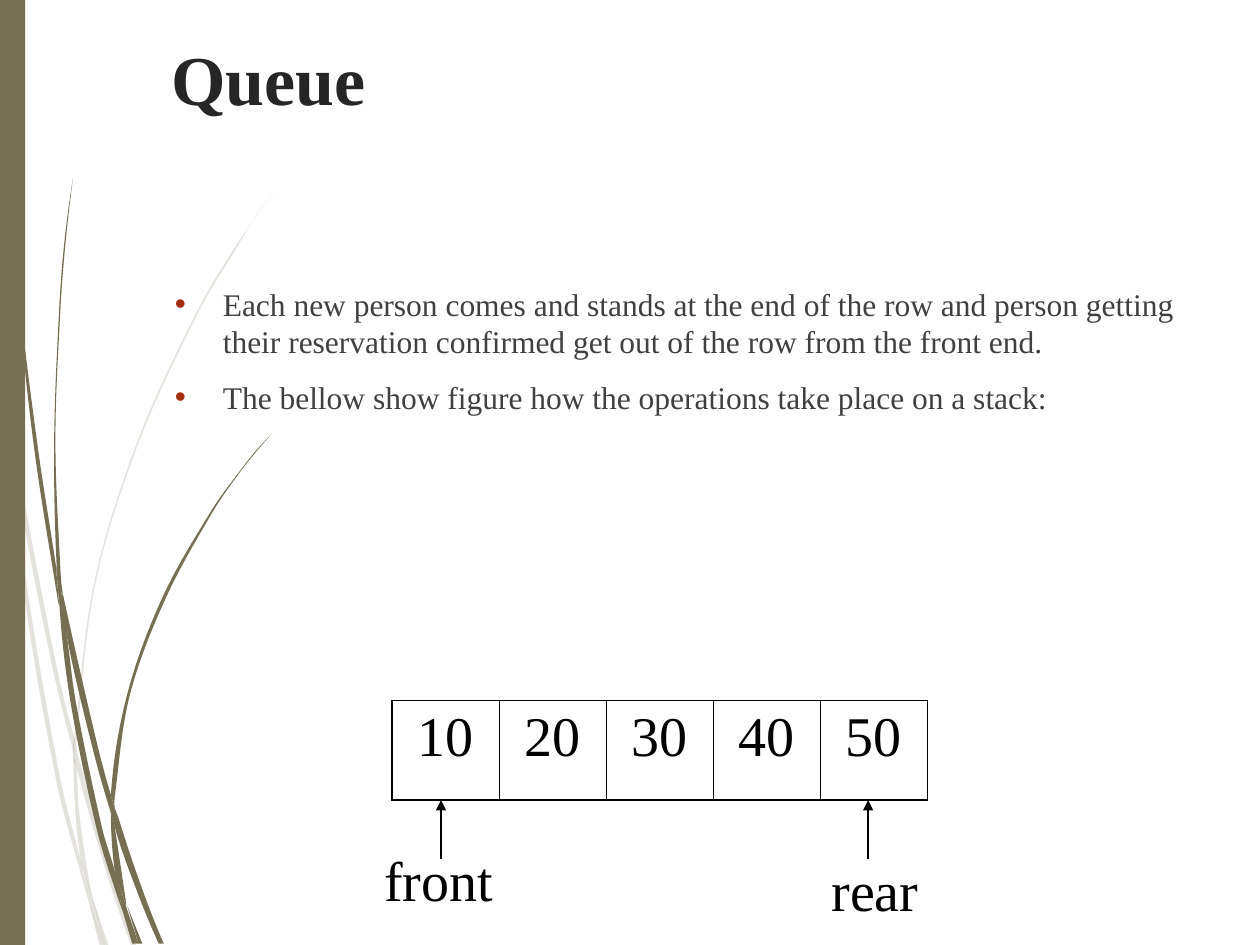
import math

import lxml.etree
import pptx
import pptx.dml.color
import pptx.enum.shapes
import pptx.enum.text
import pptx.oxml.ns
import pptx.util

FONT = "Times New Roman"
OLIVE, BLACK, BULLET = "766F54", "000000", "A53010"
ALIGN = pptx.enum.text.PP_ALIGN
BODY = [
    "Each new person comes and stands at the end of the row and person getting "
    "their reservation confirmed get out of the row from the front end.",
    "The bellow show figure how the operations take place on a stack:",
]
# Each blade of grass is a pair of edges, one down and one up, in inches.
PALE_BLADES = [
    ([(.08, 3.5), (.06, 3.22), (0, 2.82)], [(0, 2.99), (.07, 3.44)]),
    ([(.1, 3.45), (.43, 5.2), (.59, 5.86)], [(.59, 5.99), (.4, 5.22), (.12, 3.76)]),
    ([(.61, 5.96), (.64, 6.07), (.88, 6.92), (1.08, 7.5)], [(1.04, 7.5), (.85, 6.94), (.61, 6.1)]),
    ([(.73, 7.11), (.83, 7.5)], [(.86, 7.5)]),
    ([(.08, 3.5), (.19, 4.7), (.45, 6.21), (.64, 6.93), (.7, 7.14)],
     [(.69, 7.07), (.64, 6.83), (.48, 6.19), (.22, 4.69), (.12, 3.76)]),
    ([(.58, 5.99), (.6, 6.46), (.64, 6.83), (.67, 6.92), (.73, 7.11)],
     [(.72, 7.06), (.63, 6.46), (.61, 6.1), (.61, 6.08)]),
    ([(2.17, 1.53), (2.01, 1.75), (1.86, 1.97), (1.58, 2.44), (1.1, 3.48), (.75, 4.61),
      (.59, 5.84), (.59, 5.86)],
     [(.61, 5.96), (.61, 5.84), (.76, 4.62), (1.11, 3.49), (1.59, 2.45), (1.87, 1.98),
      (2.01, 1.75), (2.17, 1.53)]),
    ([(.7, 7.14), (.79, 7.5)], [(.82, 7.5)]),
    ([(.59, 5.86), (.58, 5.99), (.61, 6.08)], [(.61, 6.1), (.61, 5.96)]),
    ([(.65, 6.83), (.69, 7.07), (.7, 7.14), (.82, 7.5)], [(.83, 7.5), (.73, 7.11), (.67, 6.92)]),
]
DARK_BLADES = [
    ([(.02, 0), (.03, .48), (.05, 1.1), (.14, 2.33), (.27, 3.55), (.46, 4.77), (.47, 4.81)],
     [(.45, 4.57), (.45, 4.53), (.3, 3.55), (.15, 2.32), (.06, 1.09), (.04, .48), (.03, 0)]),
    ([(.5, 4.72), (.53, 5.05), (.73, 5.92), (.88, 6.45)], [(.88, 6.31), (.77, 5.9), (.5, 4.72)]),
    ([(.91, 6.41), (.91, 6.56), (1.09, 7.08), (1.26, 7.49)], [(1.3, 7.49), (1.13, 7.06), (.94, 6.49)]),
    ([(.47, 4.77), (.56, 5.57), (.77, 6.59), (.92, 7.08), (.97, 7.22)],
     [(.96, 7.17), (.91, 6.91), (.81, 6.57), (.6, 5.56), (.53, 5.05), (.47, 4.77)]),
    ([(.58, 1.41), (.51, 1.93), (.47, 2.45), (.43, 3.49), (.45, 4.49), (.49, 4.71)],
     [(.5, 4.72), (.48, 4.53), (.44, 3.49), (.48, 2.45), (.52, 1.93), (.58, 1.41)]),
    ([(1.01, 7.19), (1.1, 7.49)], [(1.13, 7.49)]),
    ([(.45, 4.49), (.45, 4.53), (.47, 4.77), (.53, 5.05)], [(.5, 4.72), (.49, 4.72)]),
    ([(2.16, 3.44), (2.03, 3.58), (1.91, 3.73), (1.68, 4.05), (1.29, 4.74), (1.01, 5.51), (.88, 6.31)],
     [(.91, 6.41), (.91, 6.33), (1.03, 5.52), (1.31, 4.76), (1.69, 4.06), (1.91, 3.74),
      (2.03, 3.59), (2.16, 3.44)]),
    ([(.97, 7.22), (1.05, 7.49)], [(1.08, 7.49)]),
    ([(.88, 6.45), (.91, 6.91), (.96, 7.06), (1, 7.19)], [(1, 7.16), (.91, 6.56), (.9, 6.51)]),
    ([(.88, 6.31), (.88, 6.45), (.9, 6.51), (.91, 6.56)], [(.91, 6.41)]),
    ([(.91, 6.91), (.96, 7.17), (.97, 7.22), (1.08, 7.49)], [(1.1, 7.49), (1, 7.19), (.96, 7.06)]),
]


def length(inches):
    """Turn inches into a slide length."""
    return pptx.util.Cm(inches * 2.54)


def color(value):
    """Turn a hex string into a colour."""
    return pptx.dml.color.RGBColor.from_string(value)


def set_values(target, values):
    """Set attributes from a dict of format values."""
    for name, value in values.items():
        setattr(target, name, value)


def add_xml(parent, tag, **attributes):
    """Append a DrawingML element to a parent and return it."""
    return lxml.etree.SubElement(parent, pptx.oxml.ns.qn("a:" + tag), attributes)


def tangents(points):
    """Return a unit direction for each point of an edge."""
    chords = [(b[0] - a[0], b[1] - a[1]) for a, b in zip(points, points[1:])]
    units = [(x / math.hypot(x, y), y / math.hypot(x, y)) for x, y in chords]
    inner = [(c[0] - a[0], c[1] - a[1]) for a, c in zip(points, points[2:])]
    inner = [(x / math.hypot(x, y), y / math.hypot(x, y)) for x, y in inner]
    if not inner:
        return units * 2
    first, last = [(2 * u[0] - v[0], 2 * u[1] - v[1])
                   for u, v in ((units[0], inner[0]), (units[-1], inner[-1]))]
    return [first, *inner, last]


def bend(segments, points):
    """Turn the straight segments of an edge into cubic curves."""
    slopes = tangents(points)
    for line, a, b, u, v in zip(segments, points, points[1:], slopes, slopes[1:]):
        reach = math.dist(a, b) / 3
        curve = lxml.etree.Element(pptx.oxml.ns.qn("a:cubicBezTo"))
        for x, y in ((a[0] + u[0] * reach, a[1] + u[1] * reach),
                     (b[0] - v[0] * reach, b[1] - v[1] * reach), b):
            add_xml(curve, "pt", x=str(round(x)), y=str(round(y)))
        line.getparent().replace(line, curve)


def paint(shape, alpha=None):
    """Give a decoration its plain olive fill."""
    shape.shadow.inherit = False
    shape.fill.solid()
    shape.fill.fore_color.rgb = color(OLIVE)
    shape.line.fill.background()
    if alpha:
        tint = shape.fill._xPr.find(".//" + pptx.oxml.ns.qn("a:srgbClr"))
        add_xml(tint, "alpha", val=str(alpha * 1000))


def add_blades(page, blades, alpha=None):
    """Draw a group of grass blades between their edges."""
    group = page.shapes.add_group_shape()
    for down, up in blades:
        outline = [(length(x), length(y)) for x, y in down + up]
        builder = group.shapes.build_freeform(*outline[0], scale=1.0)
        builder.add_line_segments(outline[1:], close=True)
        blade = builder.convert_to_shape()
        left, top = (min(values) for values in zip(*outline))
        local = [(x - left, y - top) for x, y in outline]
        lines = list(blade._element.iter(pptx.oxml.ns.qn("a:lnTo")))
        bend(lines[:len(down) - 1], local[:len(down)])
        if len(up) > 1:
            bend(lines[len(down):], local[len(down):])
        paint(blade, alpha)
    return group


def move_to_master(deck, shapes):
    """Put decorations behind everything on the slide master."""
    tree = deck.slide_master.shapes._spTree
    number = 100
    for index, shape in enumerate(shapes, 2):
        for props in shape._element.iter(pptx.oxml.ns.qn("p:cNvPr")):
            props.set("id", str(number))
            number += 1
        tree.insert(index, shape._element)


def write(frame, texts, size, hue, bold=False, **values):
    """Write paragraphs of one style into a text frame."""
    for index, text in enumerate(texts):
        para = frame.add_paragraph() if index else frame.paragraphs[0]
        set_values(para, values)
        span = para.add_run()
        span.text = text
        set_values(span.font, {"name": FONT, "size": pptx.util.Pt(size), "bold": bold})
        span.font.color.rgb = color(hue)


def add_title(page, text):
    """Place and write the title placeholder."""
    title = page.shapes.title
    set_values(title, {"left": length(1.26), "top": length(.23),
                       "width": length(8.52), "height": length(1.6)})
    set_values(title.text_frame, {"vertical_anchor": pptx.enum.text.MSO_ANCHOR.TOP,
                                  "auto_size": pptx.enum.text.MSO_AUTO_SIZE.NONE})
    write(title.text_frame, [text], 40, "262626", True, alignment=ALIGN.LEFT)


def add_text(page, place, texts, size, hue, before):
    """Add a wrapping text box."""
    box = page.shapes.add_textbox(*map(length, place))
    box.text_frame.word_wrap = True
    write(box.text_frame, texts, size, hue, space_before=pptx.util.Pt(before))
    return box


def add_bullets(box):
    """Give each paragraph a hanging bullet."""
    for para in box.text_frame.paragraphs:
        props = para._p.get_or_add_pPr()
        props.set("marL", str(length(.38)))
        props.set("indent", str(-length(.38)))
        add_xml(add_xml(props, "buClr"), "srgbClr", val=BULLET)
        add_xml(props, "buFont", typeface="Arial")
        add_xml(props, "buChar", char="\u2022")


def add_border(cell, widths):
    """Draw black cell borders; widths are points for left, right, top, bottom."""
    props = cell._tc.get_or_add_tcPr()
    for index, (side, width) in enumerate(zip("LRTB", widths)):
        line = add_xml(props, "ln" + side, w=str(round(width * 12700)))
        add_xml(add_xml(line, "solidFill"), "srgbClr", val=BLACK)
        props.insert(index, line)


def add_queue(page, values, thin=.45, thick=1.08):
    """Add the one-row table of queue values."""
    table = page.shapes.add_table(1, len(values), *map(length, (3.11, 5.56, 4.25, .79))).table
    set_values(table, {"first_row": False, "horz_banding": False})
    for index, value in enumerate(values):
        cell = table.cell(0, index)
        cell.fill.background()
        write(cell.text_frame, [value], 32, BLACK,
              alignment=ALIGN.CENTER, space_before=pptx.util.Pt(8))
        right = thick if index == len(values) - 1 else thin
        add_border(cell, (thin if index else thick, right, thick, thick))


def add_arrow(page, x):
    """Add an arrow that points up at the queue."""
    arrow = page.shapes.add_connector(pptx.enum.shapes.MSO_CONNECTOR.STRAIGHT,
                                      *map(length, (x, 6.82, x, 6.35)))
    arrow.line.color.rgb = color(BLACK)
    arrow.line.width = pptx.util.Pt(.74)
    add_xml(arrow.line._get_or_add_ln(), "tailEnd", type="triangle")
    add_xml(arrow._element.spPr, "effectLst")


def main():
    """Build the slide and save it."""
    deck = pptx.Presentation()
    set_values(deck, {"slide_width": length(10), "slide_height": length(7.5)})
    page = deck.slides.add_slide(deck.slide_layouts[5])
    grass = [add_blades(page, PALE_BLADES, 20), add_blades(page, DARK_BLADES)]
    bar = page.shapes.add_shape(pptx.enum.shapes.MSO_SHAPE.RECTANGLE, 0, 0, length(.2), length(7.5))
    paint(bar)
    move_to_master(deck, [*grass, bar])
    add_title(page, "Queue")
    add_bullets(add_text(page, (1.29, 2.21, 8.19, 3.51), BODY, 18, "404040", 10))
    add_queue(page, ["10", "20", "30", "40", "50"])
    for x in (3.5, 6.89):
        add_arrow(page, x)
    for text, place in (("front", (2.95, 6.66, 1.1, .64)), ("rear", (6.5, 6.74, .94, .64))):
        add_text(page, place, [text], 32, BLACK, 20)
    deck.save("out.pptx")


main()
